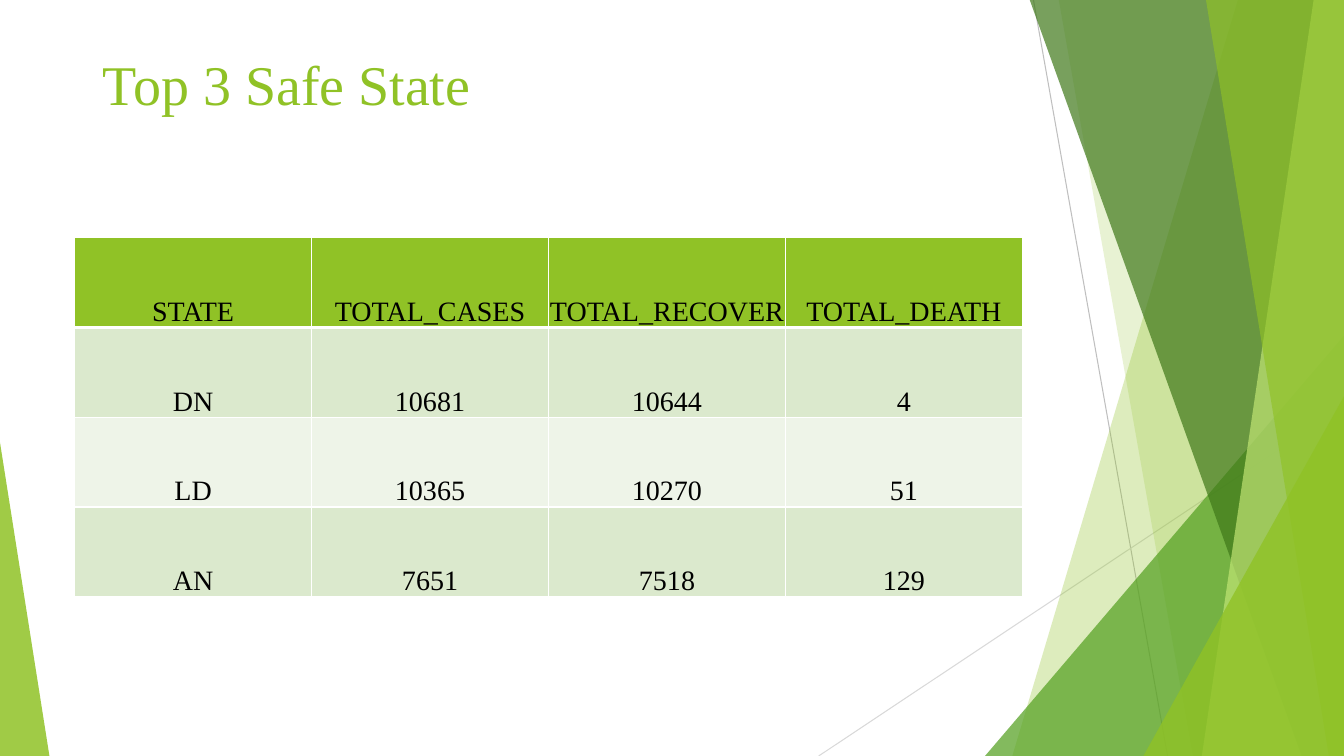
from dataclasses import dataclass

from lxml import etree
from pptx import Presentation
from pptx.dml.color import RGBColor
from pptx.enum import shapes, text
from pptx.oxml import ns
from pptx.util import Inches, Pt

FONT = "Times New Roman"
LIME, GREEN, DARK_GREEN, PALE_LIME = "90C226", "54A021", "3F7819", "C0E474"
WHITE, BLACK = "FFFFFF", "000000"
BANDS = ("DBE9CD", "EEF4E8")
TOP, BOTTOM, RIGHT = -0.01, 7.5, 13.33


@dataclass
class Ray:
    start: tuple[float, float]
    end: tuple[float, float]
    color: str


@dataclass
class Panel:
    """A blade from the slide's top to its bottom, filling out to the right edge."""
    top_left: float
    bottom_left: float
    color: str
    opacity: int


@dataclass
class Corner:
    """A right triangle standing on the slide's bottom edge."""
    left: float
    top: float
    width: float
    apex: float
    color: str
    opacity: int


RAYS = [
    Ray((10.25, 0), (11.58, BOTTOM), "BFBFBF"),
    Ray((RIGHT, 4.03), (8.12, BOTTOM), "D9D9D9"),
]
FACETS = [
    Panel(12.28, 10.04, LIME, 30),
    Panel(10.5, 11.83, LIME, 20),
    Corner(9.77, 3.33, 3.56, 1, GREEN, 72),
    Panel(10.21, 12.91, DARK_GREEN, 70),
    Panel(13.03, 11.92, PALE_LIME, 70),
    Panel(11.96, 13.18, LIME, 65),
    Corner(11.34, 3.93, 1.99, 1, LIME, 80),
    Corner(0, 4.39, 0.49, 0, LIME, 85),
]
STATES = [
    ("STATE", "TOTAL_CASES", "TOTAL_RECOVER", "TOTAL_DEATH"),
    ("DN", "10681", "10644", "4"),
    ("LD", "10365", "10270", "51"),
    ("AN", "7651", "7518", "129"),
]


def rgb(color: str) -> RGBColor:
    return RGBColor.from_string(color)


def set_text(frame, content: str, *, size: float, color: str,
             align=text.PP_ALIGN.LEFT, spacing: float = 1.0) -> None:
    frame.word_wrap = True
    paragraph = frame.paragraphs[0]
    paragraph.alignment = align
    paragraph.line_spacing = spacing
    run = paragraph.add_run()
    run.text = content
    run.font.name = FONT
    run.font.size = Pt(size)
    run.font.bold = False
    run.font.color.rgb = rgb(color)


def draw_ray(slide, ray: Ray) -> None:
    ends = [Inches(value) for value in (*ray.start, *ray.end)]
    connector = slide.shapes.add_connector(shapes.MSO_CONNECTOR.STRAIGHT, *ends)
    connector.line.color.rgb = rgb(ray.color)
    connector.line.width = Pt(0.75)
    etree.SubElement(connector.element.spPr, ns.qn("a:effectLst"))


def draw_facet(slide, facet: Panel | Corner) -> None:
    if isinstance(facet, Panel):
        builder = slide.shapes.build_freeform(
            Inches(facet.top_left), Inches(TOP), scale=1.0)
        corners = [(RIGHT, TOP), (RIGHT, BOTTOM), (facet.bottom_left, BOTTOM)]
        builder.add_line_segments([(Inches(x), Inches(y)) for x, y in corners])
        shape = builder.convert_to_shape()
    else:
        shape = slide.shapes.add_shape(
            shapes.MSO_SHAPE.ISOSCELES_TRIANGLE, Inches(facet.left), Inches(facet.top),
            Inches(facet.width), Inches(BOTTOM - facet.top))
        shape.adjustments[0] = facet.apex
    shape.shadow.inherit = False
    shape.line.fill.background()
    shape.fill.solid()
    shape.fill.fore_color.rgb = rgb(facet.color)
    color = shape.element.spPr.find(ns.qn("a:solidFill")).find(ns.qn("a:srgbClr"))
    etree.SubElement(color, ns.qn("a:alpha"), val=str(facet.opacity * 1000))


def set_borders(cell, top: float, bottom: float) -> None:
    properties = cell._tc.get_or_add_tcPr()
    for side, width in (("L", 1), ("R", 1), ("T", top), ("B", bottom)):
        line = etree.SubElement(properties, ns.qn(f"a:ln{side}"), w=str(Pt(width)))
        fill = etree.SubElement(line, ns.qn("a:solidFill"))
        etree.SubElement(fill, ns.qn("a:srgbClr"), val=WHITE)


def draw_table(slide) -> None:
    table = slide.shapes.add_table(
        len(STATES), len(STATES[0]),
        Inches(0.74), Inches(2.36), Inches(9.4), Inches(3.56)).table
    table.horz_banding = False
    for row, values in enumerate(STATES):
        for column, value in enumerate(values):
            cell = table.cell(row, column)
            cell.margin_left = cell.margin_right = cell.margin_top = Inches(0.01)
            cell.margin_bottom = 0
            cell.vertical_anchor = text.MSO_ANCHOR.BOTTOM
            set_borders(cell, top=3 if row == 1 else 1, bottom=3 if row == 0 else 1)
            cell.fill.solid()
            cell.fill.fore_color.rgb = rgb(BANDS[(row - 1) % 2] if row else LIME)
            set_text(cell.text_frame, value, size=20, color=BLACK,
                     align=text.PP_ALIGN.CENTER)


def place_title(slide) -> None:
    title = slide.shapes.title
    title.left, title.top = Inches(0.92), Inches(0.4)
    title.width, title.height = Inches(11.5), Inches(0.94)
    title.text_frame.vertical_anchor = text.MSO_ANCHOR.MIDDLE
    set_text(title.text_frame, "Top 3 Safe State", size=40, color=LIME, spacing=0.9)
    title.element.getparent().append(title.element)


def main() -> None:
    presentation = Presentation()
    presentation.slide_width, presentation.slide_height = Inches(RIGHT), Inches(BOTTOM)
    slide = presentation.slides.add_slide(
        presentation.slide_layouts.get_by_name("Title Only"))
    for ray in RAYS:
        draw_ray(slide, ray)
    for facet in FACETS:
        draw_facet(slide, facet)
    place_title(slide)
    draw_table(slide)
    presentation.save("out.pptx")


if __name__ == "__main__":
    main()
